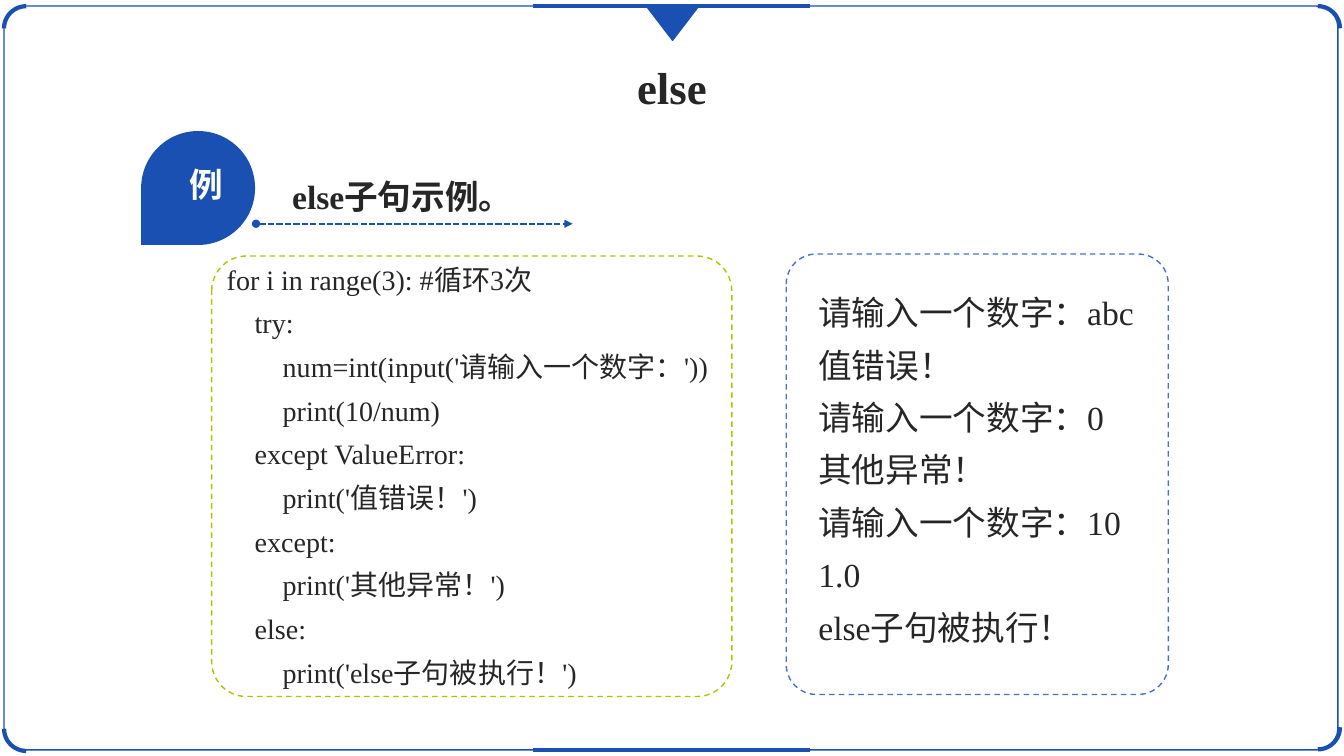
from lxml import etree
from pptx import Presentation
from pptx import util as u
from pptx.dml.color import RGBColor
from pptx.enum import dml, shapes, text
from pptx.oxml.ns import qn

BLUE, GREEN, PALE_BLUE = "1950B2", "B1C400", "4472C4"
INK, WHITE = "262626", "FFFFFF"
SERIF, CJK = "Times New Roman", "Noto Sans CJK SC"
SHAPE, LINE = shapes.MSO_SHAPE, dml.MSO_LINE

TITLE = "else"
HEADING = "else子句示例。"
BADGE = "例"
CODE = [
    "for i in range(3): #循环3次",
    "    try:",
    "        num=int(input('请输入一个数字：'))",
    "        print(10/num)",
    "    except ValueError:",
    "        print('值错误！')",
    "    except:",
    "        print('其他异常！')",
    "    else:",
    "        print('else子句被执行！')",
]
OUTPUT = [
    "请输入一个数字：abc",
    "值错误！",
    "请输入一个数字：0",
    "其他异常！",
    "请输入一个数字：10",
    "1.0",
    "else子句被执行！",
]

# Boxes: left, top, width, height in percent of the slide
FRAME = (0.3, 0.8, 99.25, 98.4)
POINTER = (48.09, 0.8, 3.9, 4.53)
TITLE_BOX = (40, 7.2, 20, 8.53)
BADGE_BOX = (10.5, 17.33, 8.48, 15.07)
BADGE_TEXT = (13.35, 21.07, 3.98, 7.2)
HEADING_BOX = (21, 20, 77.7, 8.53)
# Panels: box, line colour, text box, lines, text size
PANELS = [
    ((15.75, 33.87, 38.7, 58.27), GREEN, (14.48, 32.67, 62.86, 59.07), CODE, 20),
    ((58.5, 33.6, 28.43, 58.27), PALE_BLUE, (58.5, 36.4, 37.73, 50.4), OUTPUT, 24),
]
# Corner arcs: centre x, centre y, rotation
CORNERS = [(1.95, 3.75, 270), (98.05, 3.75, 0), (98.05, 96.2, 90), (1.95, 96.4, 180)]
ARC = (3.3, 5.87)

prs = Presentation()
prs.slide_width, prs.slide_height = u.Inches(13.33), u.Inches(7.5)
s = prs.slides.add_slide(prs.slide_layouts[5])


def place(box):
    """Turn percentages (x, y, x, y) into slide lengths."""
    sides = (prs.slide_width, prs.slide_height) * 2
    return [int(side * share / 100) for side, share in zip(sides, box)]


def rgb(colour):
    return RGBColor.from_string(colour)


def style_line(line, colour, width, dash=None):
    line.color.rgb = rgb(colour)
    line.width = u.Pt(width)
    if dash:
        line.dash_style = dash


def add_shape(kind, box, fill=None, line=None, width=1, dash=None):
    sp = s.shapes.add_shape(kind, *place(box))
    sp.shadow.inherit = False
    if fill:
        sp.fill.solid()
        sp.fill.fore_color.rgb = rgb(fill)
    else:
        sp.fill.background()
    if line:
        style_line(sp.line, line, width, dash)
    else:
        sp.line.fill.background()
    return sp


def add_line(ends, width, dash=None):
    line = s.shapes.add_connector(shapes.MSO_CONNECTOR.STRAIGHT, *place(ends))
    style_line(line.line, BLUE, width, dash)
    etree.SubElement(line._element.spPr, qn("a:effectLst"))
    return line


def write(tf, lines, size, font=SERIF, colour=INK, bold=False, wrap=True,
          align=text.PP_ALIGN.LEFT, spacing=1.0, indent=0):
    tf.word_wrap = wrap
    tf.auto_size = text.MSO_AUTO_SIZE.NONE
    tf.vertical_anchor = text.MSO_ANCHOR.TOP
    for i, line in enumerate(lines):
        p = tf.add_paragraph() if i else tf.paragraphs[0]
        p.alignment, p.line_spacing = align, spacing
        if indent:
            p._p.get_or_add_pPr().set("indent", str(u.Inches(indent)))
        r = p.add_run()
        r.text = line
        r.font.name, r.font.size, r.font.bold = font, u.Pt(size), bold
        r.font.color.rgb = rgb(colour)
        etree.SubElement(r._r.get_or_add_rPr(), qn("a:ea"), typeface=CJK)


def add_text(box, lines, size, **style):
    write(s.shapes.add_textbox(*place(box)).text_frame, lines, size, **style)


# Border
add_shape(SHAPE.ROUNDED_RECTANGLE, FRAME, line=BLUE).adjustments[0] = 0.029
for x, y, turn in CORNERS:
    w, h = ARC
    arc = add_shape(SHAPE.ARC, (x - w / 2, y - h / 2, w, h), line=BLUE, width=3)
    arc.rotation = turn
for y in (0.8, 99.2):
    add_line((39.68, y, 60.24, y), 3)
add_shape(SHAPE.ISOSCELES_TRIANGLE, POINTER, BLUE, BLUE).rotation = 180

# Title
title = s.shapes.title
title.left, title.top, title.width, title.height = place(TITLE_BOX)
write(title.text_frame, [TITLE], 32, bold=True, wrap=False, align=text.PP_ALIGN.CENTER)

# Code and output
for box, colour, text_box, lines, size in PANELS:
    panel = add_shape(SHAPE.ROUNDED_RECTANGLE, box, line=colour, dash=LINE.DASH)
    panel.adjustments[0] = 0.079
    add_text(text_box, lines, size, spacing=1.3, indent=0.22)

# Example heading
add_text(HEADING_BOX, [HEADING], 24, bold=True, spacing=1.5)
add_shape(SHAPE.TEAR, BADGE_BOX, BLUE).rotation = 180
add_text(BADGE_TEXT, [BADGE], 24, font=CJK, colour=WHITE, bold=True, wrap=False,
         align=text.PP_ALIGN.CENTER)
arrow = add_line((19.05, 29.6, 42.61, 29.6), 1.5, LINE.SQUARE_DOT)
for end, kind in (("a:headEnd", "oval"), ("a:tailEnd", "triangle")):
    etree.SubElement(arrow.line._get_or_add_ln(), qn(end), type=kind)

prs.save("out.pptx")
